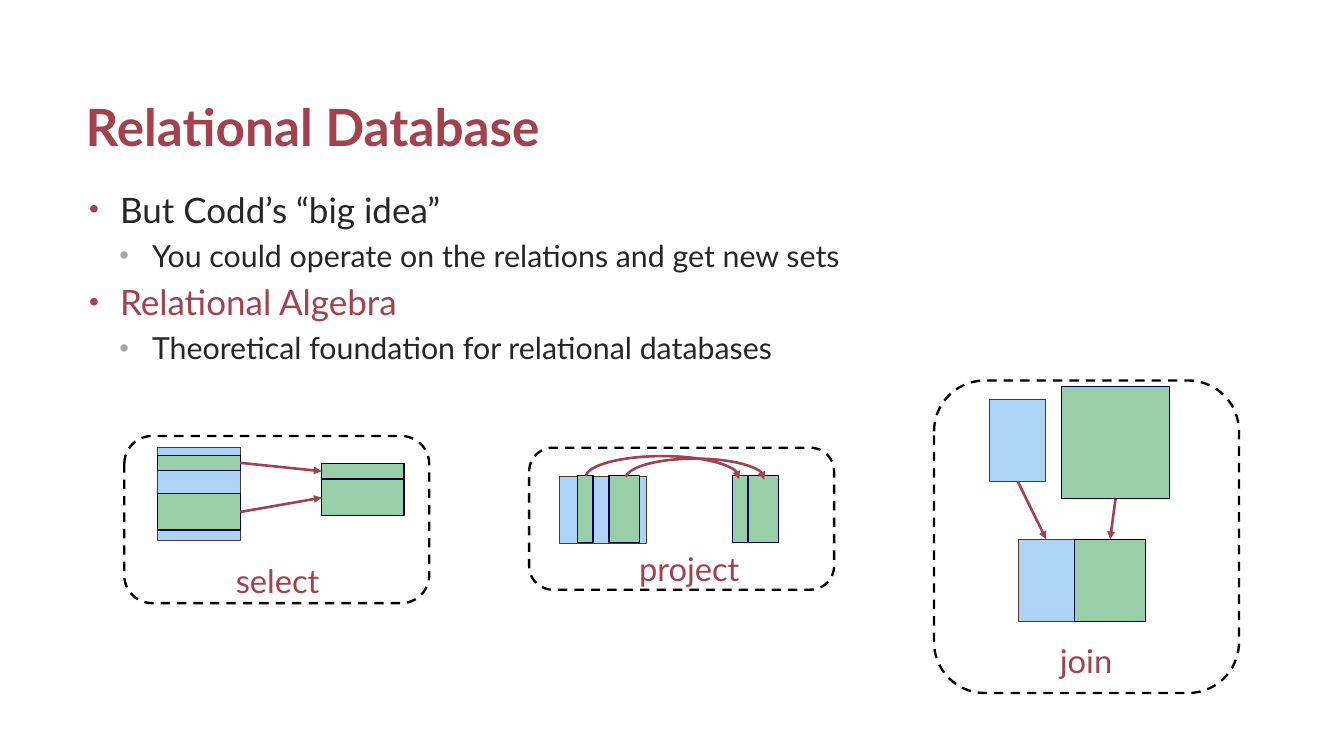
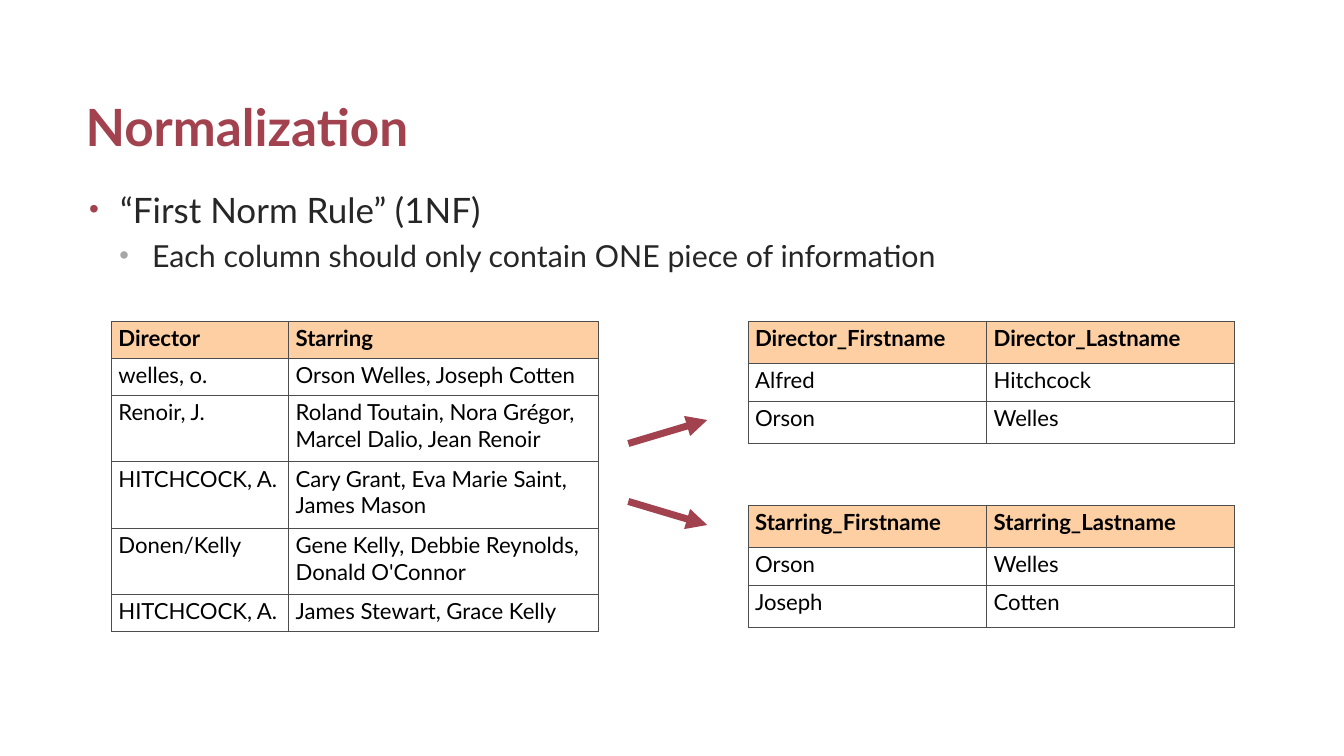
from dataclasses import dataclass
from typing import NamedTuple

import lxml.etree
import pptx
import pptx.dml.color
import pptx.enum.dml
import pptx.enum.shapes
import pptx.enum.text
import pptx.oxml.ns
import pptx.util

SHAPES = pptx.enum.shapes.MSO_SHAPE
ALIGN = pptx.enum.text.PP_ALIGN
ANCHOR = pptx.enum.text.MSO_ANCHOR

# The slide is a grid of 16 columns by 9 rows
WIDTH, HEIGHT = pptx.util.Inches(16), pptx.util.Inches(9)
COLUMNS, ROWS = 16, 9
TOP, LEFT, BOTTOM, RIGHT = range(4)


def across(columns: float) -> int:
    return round(WIDTH * columns / COLUMNS)


def down(rows: float) -> int:
    return round(HEIGHT * rows / ROWS)


@dataclass(frozen=True)
class Theme:
    font: str = "Lato"
    accent: str = "A2424F"
    body: str = "262626"
    muted: str = "A6A6A6"
    black: str = "000000"
    white: str = "FFFFFF"
    header: str = "FDCFA2"
    border: str = "4D4D4D"
    title_size: int = 44
    label_size: int = 28
    table_size: int = 19


THEME = Theme()


class Area(NamedTuple):
    column: float
    row: float
    width: float
    height: float

    def place(self) -> tuple[int, int, int, int]:
        return across(self.column), down(self.row), across(self.width), down(self.height)


class BlockStyle(NamedTuple):
    fill: str
    line: str
    weight: float


class BulletStyle(NamedTuple):
    size: int
    margin: float
    indent: float
    color: str
    percent: int


class Bullet(NamedTuple):
    text: str
    level: int = 0
    color: str = THEME.body


class Operation(NamedTuple):
    name: str
    frame: Area
    label: Area


class TableSpec(NamedTuple):
    column: float
    row: float
    widths: tuple[float, ...]
    heights: tuple[float, ...]
    rows: tuple[tuple[str, ...], ...]


RELATION = BlockStyle("ADD3F7", "56391C", 0.75)
CHOSEN = BlockStyle("98CFA8", "00004D", 1)
BULLETS = (BulletStyle(30, 0.37, -0.37, THEME.accent, 80),
           BulletStyle(26, 0.75, -0.39, THEME.muted, 90))


def rgb(color: str) -> pptx.dml.color.RGBColor:
    return pptx.dml.color.RGBColor.from_string(color)


def add_xml(parent, tag: str, **attributes: str):
    return lxml.etree.SubElement(parent, pptx.oxml.ns.qn(tag), attributes)


# Text
def write(para, text: str, *, size: float, color: str, bold: bool = False, align=None) -> None:
    para.alignment = align
    span = para.add_run()
    span.text = text
    span.font.name = THEME.font
    span.font.size = pptx.util.Pt(size)
    span.font.bold = bold
    span.font.color.rgb = rgb(color)


def add_box(page, area: Area, *, anchor=ANCHOR.TOP, wrap: bool = True):
    frame = page.shapes.add_textbox(*area.place()).text_frame
    frame.word_wrap = wrap
    frame.vertical_anchor = anchor
    return frame


def add_bullets(page, bullets: tuple[Bullet, ...]) -> None:
    frame = add_box(page, Area(0.92, 2.17, 14.17, 5.83))
    frame.margin_left = frame.margin_right = across(0.14)
    frame.margin_top = frame.margin_bottom = down(0.07)
    for index, bullet in enumerate(bullets):
        style = BULLETS[bullet.level]
        para = frame.add_paragraph() if index else frame.paragraphs[0]
        para.level = bullet.level
        para.space_before = pptx.util.Pt(4 if index else 0)
        para.space_after = pptx.util.Pt(2)
        properties = para._p.get_or_add_pPr()
        properties.set("marL", str(across(style.margin)))
        properties.set("indent", str(across(style.indent)))
        add_xml(add_xml(properties, "a:buClr"), "a:srgbClr", val=style.color)
        add_xml(properties, "a:buSzPct", val=str(style.percent * 1000))
        add_xml(properties, "a:buFont", typeface="Arial")
        add_xml(properties, "a:buChar", char="•")
        write(para, bullet.text, size=style.size, color=bullet.color)


def add_page(deck, title: str, bullets: tuple[Bullet, ...]):
    page = deck.slides.add_slide(deck.slide_layouts[6])
    add_bullets(page, bullets)
    frame = add_box(page, Area(0.92, 0.36, 14.17, 1.56), anchor=ANCHOR.BOTTOM)
    write(frame.paragraphs[0], title, size=THEME.title_size, color=THEME.accent, bold=True)
    return page


# Shapes and lines
def set_line(shape, color: str, weight: float, *, arrow: bool = False) -> None:
    shape.line.color.rgb = rgb(color)
    shape.line.width = pptx.util.Pt(weight)
    if arrow:
        add_xml(shape._element.spPr.get_or_add_ln(), "a:tailEnd", type="triangle")


def add_block(shapes, area: Area, style: BlockStyle):
    block = shapes.add_shape(SHAPES.RECTANGLE, *area.place())
    block.shadow.inherit = False
    block.fill.solid()
    block.fill.fore_color.rgb = rgb(style.fill)
    set_line(block, style.line, style.weight)
    return block


def add_arrow(page, start: tuple[float, float], end: tuple[float, float], weight: float):
    arrow = page.shapes.add_connector(
        pptx.enum.shapes.MSO_CONNECTOR.STRAIGHT,
        across(start[0]), down(start[1]), across(end[0]), down(end[1]))
    set_line(arrow, THEME.accent, weight, arrow=True)
    add_xml(arrow._element.spPr, "a:effectLst")
    return arrow


def join_blocks(page, source, source_side: int, target, target_side: int) -> None:
    arrow = add_arrow(page, (0, 0), (1, 1), 2.25)
    arrow.begin_connect(source, source_side)
    arrow.end_connect(target, target_side)


def add_arc(page, area: Area) -> None:
    arc = page.shapes.add_shape(SHAPES.ARC, *area.place())
    arc.shadow.inherit = False
    arc.adjustments[0], arc.adjustments[1] = 108.8, 0.69
    arc.fill.background()
    set_line(arc, THEME.accent, 2.25, arrow=True)


def add_operation(page, operation: Operation) -> None:
    frame = page.shapes.add_shape(SHAPES.ROUNDED_RECTANGLE, *operation.frame.place())
    frame.shadow.inherit = False
    frame.fill.background()
    set_line(frame, THEME.black, 2)
    frame.line.dash_style = pptx.enum.dml.MSO_LINE.DASH
    label = add_box(page, operation.label, wrap=False)
    write(label.paragraphs[0], operation.name, size=THEME.label_size,
          color=THEME.accent, align=ALIGN.CENTER)


# Tables
def format_cell(cell, text: str, is_header: bool) -> None:
    cell.margin_left = cell.margin_right = across(0.08)
    cell.margin_top = cell.margin_bottom = down(0.04)
    properties = cell._tc.get_or_add_tcPr()
    for side in "LRTB":
        line = add_xml(properties, f"a:ln{side}", w=str(pptx.util.Pt(1)))
        add_xml(add_xml(line, "a:solidFill"), "a:srgbClr", val=THEME.border)
    cell.fill.solid()
    cell.fill.fore_color.rgb = rgb(THEME.header if is_header else THEME.white)
    write(cell.text_frame.paragraphs[0], text, size=THEME.table_size,
          color=THEME.black, bold=is_header)


def add_table(page, spec: TableSpec) -> None:
    area = Area(spec.column, spec.row, sum(spec.widths), sum(spec.heights))
    table = page.shapes.add_table(len(spec.rows), len(spec.widths), *area.place()).table
    table.horz_banding = False
    for column, width in zip(table.columns, spec.widths):
        column.width = across(width)
    for row, height in zip(table.rows, spec.heights):
        row.height = down(height)
    for row_index, texts in enumerate(spec.rows):
        for column_index, text in enumerate(texts):
            format_cell(table.cell(row_index, column_index), text, row_index == 0)


# Slide 1: select, project and join
OPERATIONS = (
    Operation("select", Area(1.48, 5.19, 3.63, 1.99), Area(2.61, 6.63, 1.39, 0.57)),
    Operation("project", Area(6.3, 5.33, 3.63, 1.69), Area(7.49, 6.49, 1.43, 0.57)),
    Operation("join", Area(11.12, 4.53, 3.63, 3.72), Area(12.51, 7.58, 0.84, 0.57)),
)


def draw_select(page) -> None:
    add_block(page.shapes, Area(1.88, 5.33, 0.98, 1.1), RELATION)
    for source_row, target_row, height in ((5.42, 5.52, 0.18), (5.88, 5.71, 0.43)):
        source, target = (add_block(page.shapes, Area(column, row, 0.98, height), CHOSEN)
                          for column, row in ((1.88, source_row), (3.83, target_row)))
        join_blocks(page, source, RIGHT, target, LEFT)


def draw_project(page) -> None:
    add_block(page.shapes, Area(6.66, 5.67, 1.04, 0.8), RELATION)
    for column, width in ((6.88, 0.18), (7.25, 0.36), (8.72, 0.18), (8.91, 0.36)):
        add_block(page.shapes, Area(column, 5.66, width, 0.8), CHOSEN)
    add_arc(page, Area(7.45, 5.46, 1.65, 0.47))
    add_arc(page, Area(6.97, 5.43, 1.83, 0.51))


def draw_join(page) -> None:
    joined = page.shapes.add_group_shape().shapes
    for source_area, target_area, style in (
        (Area(11.78, 4.75, 0.67, 0.98), Area(12.12, 6.42, 0.67, 0.98), RELATION),
        (Area(12.64, 4.6, 1.28, 1.34), Area(12.79, 6.42, 0.85, 0.98), CHOSEN),
    ):
        source = add_block(page.shapes, source_area, style)
        target = add_block(joined, target_area, style)
        join_blocks(page, source, BOTTOM, target, TOP)


def build_algebra(deck) -> None:
    page = add_page(deck, "Relational Database", (
        Bullet("But Codd’s “big idea”"),
        Bullet("You could operate on the relations and get new sets", 1),
        Bullet("Relational Algebra", color=THEME.accent),
        Bullet("Theoretical foundation for relational databases", 1)))
    for operation in OPERATIONS:
        add_operation(page, operation)
    draw_select(page)
    draw_project(page)
    draw_join(page)


# Slide 2: one table split into two
MOVIES = TableSpec(1.33, 3.83, (2.11, 3.69), (0.44, 0.44, 0.79, 0.79, 0.79, 0.44), (
    ("Director", "Starring"),
    ("welles, o.", "Orson Welles, Joseph Cotten"),
    ("Renoir, J.", "Roland Toutain, Nora Grégor, Marcel Dalio, Jean Renoir"),
    ("HITCHCOCK, A.", "Cary Grant, Eva Marie Saint, James Mason"),
    ("Donen/Kelly", "Gene Kelly, Debbie Reynolds, Donald O'Connor"),
    ("HITCHCOCK, A.", "James Stewart, Grace Kelly")))
NAME_TABLES = (
    (3.83, "Director", (("Alfred", "Hitchcock"), ("Orson", "Welles"))),
    (6.02, "Starring", (("Orson", "Welles"), ("Joseph", "Cotten"))))


def build_normalization(deck) -> None:
    page = add_page(deck, "Normalization", (
        Bullet("“First Norm Rule” (1NF)"),
        Bullet("Each column should only contain ONE piece of information", 1)))
    add_table(page, MOVIES)
    for row, role, names in NAME_TABLES:
        header = (f"{role}_Firstname", f"{role}_Lastname")
        add_table(page, TableSpec(8.91, row, (2.84, 2.95), (0.5, 0.45, 0.5), (header, *names)))
    for start_row, end_row in ((5.28, 5), (5.97, 6.25)):
        add_arrow(page, (7.48, start_row), (8.42, end_row), 6)


def main() -> None:
    deck = pptx.Presentation()
    deck.slide_width, deck.slide_height = WIDTH, HEIGHT
    build_algebra(deck)
    build_normalization(deck)
    deck.save("out.pptx")


if __name__ == "__main__":
    main()
